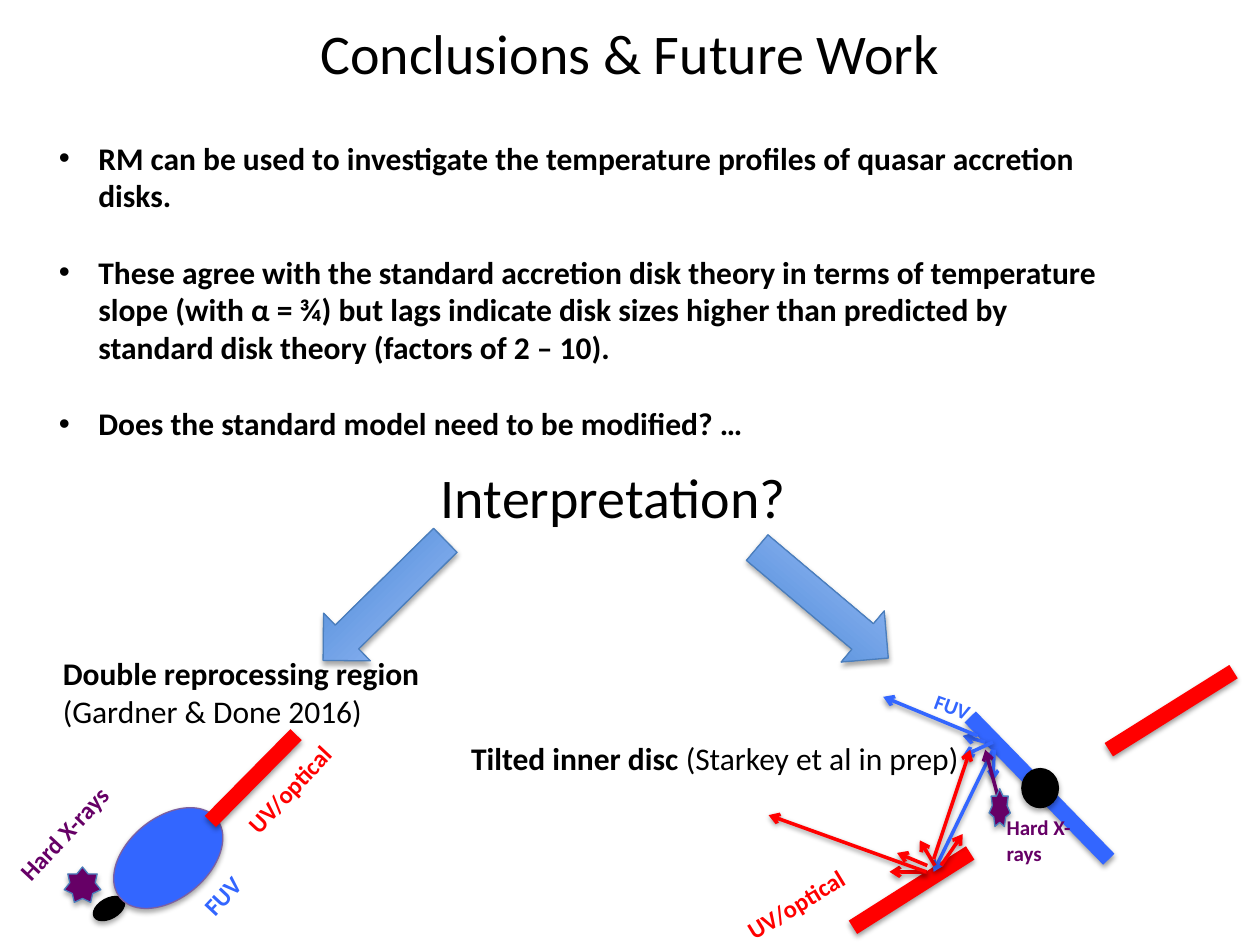
from lxml import etree
from pptx import Presentation
from pptx.dml.color import RGBColor
from pptx.enum.shapes import MSO_CONNECTOR, MSO_SHAPE
from pptx.enum.text import MSO_ANCHOR, PP_ALIGN
from pptx.oxml.ns import qn
from pptx.util import Pt

BLACK = RGBColor(0x00, 0x00, 0x00)
RED = RGBColor(0xFF, 0x00, 0x00)
BLUE = RGBColor(0x33, 0x66, 0xFF)
PURPLE = RGBColor(0x66, 0x00, 0x66)
MAUVE = RGBColor(0x7D, 0x60, 0xA0)
STEEL = RGBColor(0x4B, 0x7E, 0xBC)
GRADIENT = (RGBColor(0x3F, 0x80, 0xCE), RGBColor(0xA4, 0xC4, 0xFF))
ELLIPSE = MSO_SHAPE.OVAL
STAR = MSO_SHAPE.STAR_7_POINT
ARROW = MSO_SHAPE.RIGHT_ARROW
STRAIGHT = MSO_CONNECTOR.STRAIGHT
TOP, MIDDLE = MSO_ANCHOR.TOP, MSO_ANCHOR.MIDDLE
LEFT, CENTER = PP_ALIGN.LEFT, PP_ALIGN.CENTER

deck = Presentation()
deck.slide_width, deck.slide_height = Pt(720), Pt(540)
page = deck.slides.add_slide(deck.slide_layouts[6])


def add_shadow(properties, distance, opacity):
    effects = properties.find(qn("a:effectLst"))
    if effects is None:
        effects = etree.SubElement(properties, qn("a:effectLst"))
    shadow = etree.SubElement(effects, qn("a:outerShdw"), blurRad=str(Pt(3.1)),
                              dist=str(Pt(distance)), dir="5400000", rotWithShape="0")
    color = etree.SubElement(shadow, qn("a:srgbClr"), val=str(BLACK))
    etree.SubElement(color, qn("a:alpha"), val=str(opacity * 1000))


def add_figure(kind, frame, rotation, fill, outline):
    shape = page.shapes.add_shape(kind, *map(Pt, frame))
    shape.rotation = rotation
    if fill == GRADIENT:
        shape.fill.gradient()
        shape.fill.gradient_angle = 90
        for stop, color, position in zip(shape.fill.gradient_stops, GRADIENT, (0, 1)):
            stop.color.rgb = color
            stop.position = position
    else:
        shape.fill.solid()
        shape.fill.fore_color.rgb = fill
    shape.line.color.rgb = outline
    shape.line.width = Pt(0.75)
    shape.shadow.inherit = False
    add_shadow(shape.element.spPr, 1.8, 35)


add_figure(ELLIPSE, (52.6, 513.4, 19.4, 11.5), 330.9, BLACK, BLACK)
add_figure(ELLIPSE, (60.5, 467.3, 71.3, 46.1), 320.6, BLUE, MAUVE)

discs = [
    (554.4, 487.4, 487.4, 529.9, RED),
    (633.6, 491, 554.4, 409.7, BLUE),
    (704.9, 383.8, 633.6, 428.4, RED),
    (169.2, 419.8, 120.2, 469.4, RED),
]
rays = [
    (563, 424.1, 550.1, 420.5, BLUE),
    (558.7, 420.5, 504.7, 398.2, BLUE),
    (567.4, 424.1, 550.1, 432, BLUE),
    (567.4, 428.4, 533.5, 498.2, BLUE),
    (568.1, 428.4, 567.4, 446.4, BLUE),
    (529.9, 498.2, 508.3, 498.2, RED),
    (529.9, 494.6, 512.6, 487.4, RED),
    (534.2, 494.6, 525.6, 480.2, RED),
    (537.8, 494.6, 550.1, 476.6, RED),
    (533.5, 491, 554.4, 428.4, RED),
    (529.2, 498.2, 439.2, 465.8, RED),
    (571, 457.9, 563, 428.4, PURPLE),
]
for segments, width in ((discs, 9), (rays, 2)):
    for *ends, color in segments:
        connector = page.shapes.add_connector(STRAIGHT, *map(Pt, ends))
        connector.line.color.rgb = color
        connector.line.width = Pt(width)
        properties = connector.element.spPr
        if segments is rays:
            etree.SubElement(properties.find(qn("a:ln")), qn("a:tailEnd"), type="arrow")
        add_shadow(properties, 1.6, 38)

add_figure(ELLIPSE, (583.9, 439.2, 20.9, 22.3), 0, BLACK, BLACK)

findings = [
    "RM can be used to investigate the temperature profiles of quasar accretion disks.",
    "These agree with the standard accretion disk theory in terms of temperature slope "
    "(with α = ¾) but lags indicate disk sizes higher than predicted by standard disk "
    "theory (factors of 2 – 10).",
    "Does the standard model need to be modified? …",
]
heading = {"size": Pt(32), "bold": False}
strong = {"size": Pt(18), "bold": True}
plain = {"size": Pt(18), "bold": False}
label = {"size": Pt(14), "bold": True}
small = {"size": Pt(12), "bold": True}

texts = [
    ((36, -15.1, 648, 90), 0, BLACK, [[("Conclusions & Future Work", heading)]]),
    ((26.6, 75.6, 615.6, 181.4), 0, BLACK, [[(finding, strong)] for finding in findings]),
    ((26.6, 238.3, 648, 90), 0, BLACK, [[("Interpretation?", heading)]]),
    ((28.8, 370.1, 250.6, 51.1), 0, BLACK,
     [[("Double reprocessing region ", strong), ("(Gardner & Done 2016)", plain)]]),
    ((262.1, 419, 353.5, 28.8), 0, BLACK,
     [[("Tilted inner disc ", strong), ("(Starkey et al in prep)", plain)]]),
    ((411.1, 484.6, 152.6, 24.5), 328.6, RED, [[("UV/optical", label)]]),
    ((115.2, 411.1, 152.6, 24.5), 313.1, RED, [[("UV/optical", label)]]),
    ((90, 457.9, 152.6, 24.5), 313.1, BLUE, [[("FUV", label)]]),
    ((-15.1, 437.8, 152.6, 24.5), 313.1, PURPLE, [[("Hard X-rays", label)]]),
    ((568.1, 462.2, 61.2, 36), 0, PURPLE, [[("Hard X-rays", small)]]),
    ((523.4, 413.3, 152.6, 21.6), 20.2, BLUE, [[("FUV", small)]]),
]
for frame, rotation, color, paragraphs in texts:
    box = page.shapes.add_textbox(*map(Pt, frame))
    box.rotation = rotation
    text = box.text_frame
    text.word_wrap = True
    is_heading = paragraphs[0][0][1] is heading
    text.vertical_anchor = MIDDLE if is_heading else TOP
    for index, runs in enumerate(paragraphs):
        para = text.add_paragraph() if index else text.paragraphs[0]
        para.alignment = CENTER if is_heading else LEFT
        if index:
            para.space_before = Pt(22)
        if len(paragraphs) > 1:
            layout = para._p.get_or_add_pPr()
            layout.set("marL", str(Pt(22.5)))
            layout.set("indent", str(Pt(-22.5)))
            etree.SubElement(layout, qn("a:buFont"), typeface="Arial")
            etree.SubElement(layout, qn("a:buChar"), char="•")
        for words, style in runs:
            span = para.add_run()
            span.text = words
            span.font.color.rgb = color
            for name, value in {"name": "Calibri", **style}.items():
                setattr(span.font, name, value)

add_figure(STAR, (565.2, 450.7, 12.2, 21.6), 0, PURPLE, STEEL)
add_figure(STAR, (36.7, 495.4, 20.9, 20.2), 0, PURPLE, STEEL)
add_figure(ARROW, (421.2, 325.4, 97.9, 38.2), 40.1, GRADIENT, STEEL)
add_figure(ARROW, (170.6, 324, 97.9, 38.2), 135.5, GRADIENT, STEEL)

deck.save("out.pptx")
